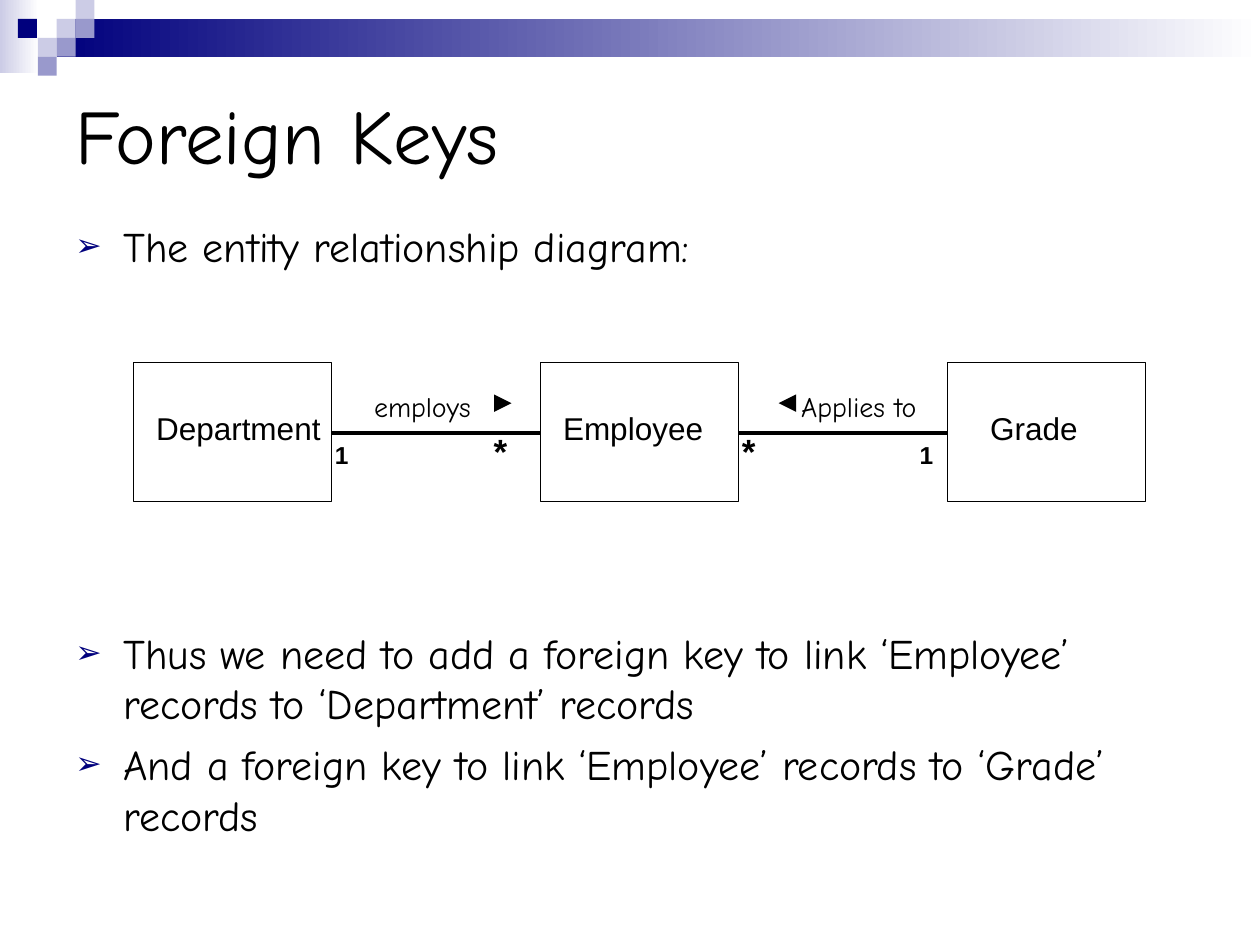
from lxml.etree import SubElement
from pptx import Presentation
from pptx.dml.color import RGBColor
from pptx.enum.shapes import MSO_CONNECTOR as CONN, MSO_SHAPE as SHAPE
from pptx.enum.text import MSO_ANCHOR as ANCHOR
from pptx.oxml.ns import qn
from pptx.util import Inches, Pt

BLACK = RGBColor(0x00, 0x00, 0x00)
WHITE = RGBColor(0xFF, 0xFF, 0xFF)
NAVY = RGBColor(0x00, 0x00, 0x7D)
LILAC = RGBColor(0x99, 0x99, 0xCC)
PALE = RGBColor(0xCC, 0xCC, 0xE6)
COMIC, ARIAL = "Comic Neue", "Arial"


def add_bullet(p):
    pPr = p._p.get_or_add_pPr()
    pPr.set("marL", str(Inches(0.38)))
    pPr.set("indent", str(-Inches(0.38)))
    color = SubElement(pPr, qn("a:buClr"))
    SubElement(color, qn("a:srgbClr"), val=str(NAVY))
    SubElement(pPr, qn("a:buSzPct"), val="75000")
    SubElement(pPr, qn("a:buFont"), typeface=ARIAL)
    SubElement(pPr, qn("a:buChar"), char="➢")


def add_text(s, box, *lines, size=18, font=ARIAL, bold=False,
             bullet=False, anchor=ANCHOR.TOP):
    tf = s.shapes.add_textbox(*map(Inches, box)).text_frame
    tf.word_wrap = True
    tf.vertical_anchor = anchor
    for i, line in enumerate(lines):
        p = tf.add_paragraph() if i else tf.paragraphs[0]
        if bullet:
            add_bullet(p)
        if i:
            p.space_before = Pt(6)
        r = p.add_run()
        r.text = line
        r.font.size, r.font.name, r.font.bold = Pt(size), font, bold
        r.font.color.rgb = BLACK


def add_rect(s, box, fill=None, fade=False, outline=False):
    sp = s.shapes.add_shape(SHAPE.RECTANGLE, *map(Inches, box))
    sp.shadow.inherit = False
    if fade:
        sp.fill.gradient()
        sp.fill.gradient_angle = 0
        for stop, color in zip(sp.fill.gradient_stops, (fill, WHITE)):
            stop.color.rgb = color
    elif fill is not None:
        sp.fill.solid()
        sp.fill.fore_color.rgb = fill
    else:
        sp.fill.background()
    if outline:
        sp.line.color.rgb = BLACK
        sp.line.width = Pt(0.75)
    else:
        sp.line.fill.background()


def add_line(s, x1, x2, y, width, arrow=False):
    line = s.shapes.add_connector(
        CONN.STRAIGHT, Inches(x1), Inches(y), Inches(x2), Inches(y))
    line.line.color.rgb = BLACK
    line.line.width = Pt(width)
    if arrow:
        SubElement(line.line._get_or_add_ln(), qn("a:tailEnd"),
                   type="triangle", w="lg", len="lg")
    SubElement(line._element.spPr, qn("a:effectLst"))


def add_banner(s, left, top, width):
    # Fading bands
    add_rect(s, (left, top, 0.31, 0.58), PALE, fade=True)
    add_rect(s, (left + 0.45, top + 0.15, width - 0.45, 0.3), NAVY, fade=True)
    # Checkered squares
    side = 0.15
    squares = [(3, 1, PALE), (4, 0, PALE), (4, 1, LILAC), (2, 2, PALE),
               (0.95, 1, NAVY), (3, 2, LILAC), (2, 3, LILAC)]
    for col, row, color in squares:
        add_rect(s, (left + col * side, top + row * side, side, side), color)


def add_entity_diagram(s, left, top):
    box_w, box_h, step = 1.57, 1.1, 3.23
    # Entities: name, label offset, label width
    entities = [("Department", 0.08, 1.65), ("Employee", 0.08, 1.41),
                ("Grade", 0.24, 1.1)]
    for i, (name, dx, width) in enumerate(entities):
        x = left + i * step
        add_rect(s, (x, top, box_w, box_h), outline=True)
        add_text(s, (x + dx, top + 0.32, width, 0.4), name)

    # Relationships: label, its offset and width, arrow start and end,
    # offsets of the "*" and "1" ends
    relations = [("employs", 0.24, 1.18, 1.35, 1.43, 1.19, -0.07),
                 ("Applies to", 0.4, 1.57, 0.4, 0.32, -0.07, 1.34)]
    for i, (label, dx, width, tail, head, many, one) in enumerate(relations):
        x = left + box_w + i * step
        add_line(s, x, x + step - box_w, top + 0.56, 2.25)
        add_line(s, x + tail, x + head, top + 0.32, 0.75, arrow=True)
        add_text(s, (x + dx, top + 0.16, width, 0.37), label,
                 size=16, font=COMIC)
        add_text(s, (x + many, top + 0.48, 0.71, 0.44), "*",
                 size=20, bold=True)
        add_text(s, (x + one, top + 0.56, 0.47, 0.34), "1",
                 size=14, bold=True)


def main():
    prs = Presentation()
    prs.slide_width, prs.slide_height = Inches(10), Inches(7.5)
    s = prs.slides.add_slide(prs.slide_layouts[6])

    add_banner(s, 0, 0, 10)
    add_text(s, (0.5, 0.5, 9, 1.12), "Foreign Keys",
             size=44, font=COMIC, anchor=ANCHOR.MIDDLE)
    # Body text above and below the diagram
    body = {"size": 24, "font": COMIC, "bullet": True}
    add_text(s, (0.5, 1.7, 9.07, 0.5),
             "The entity relationship diagram:", **body)
    add_entity_diagram(s, 1.06, 2.88)
    add_text(s, (0.5, 4.93, 9.07, 2.2),
             "Thus we need to add a foreign key to link ‘Employee’ "
             "records to ‘Department’ records",
             "And a foreign key to link ‘Employee’ records to ‘Grade’ records",
             **body)
    prs.save("out.pptx")


if __name__ == "__main__":
    main()
